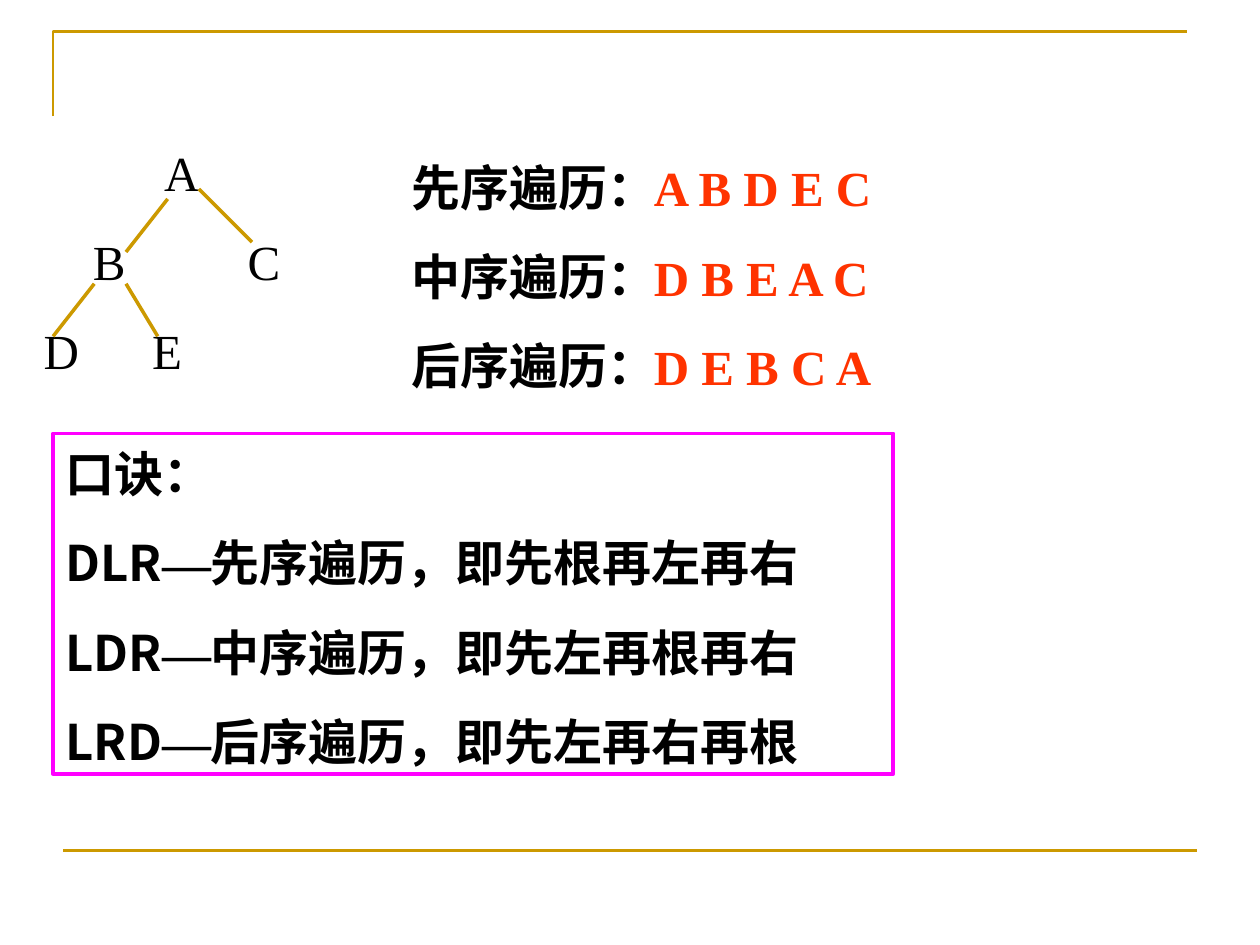
from dataclasses import dataclass

from lxml.etree import SubElement
from pptx import Presentation
from pptx.dml.color import RGBColor as RGB
from pptx.enum.shapes import MSO_CONNECTOR as CONNECTOR, MSO_SHAPE as SHAPE
from pptx.enum.text import MSO_ANCHOR as ANCHOR, PP_ALIGN as ALIGN
from pptx.oxml.ns import qn
from pptx.util import Cm, Pt


@dataclass(frozen=True)
class Theme:
    black: RGB = RGB(0x00, 0x00, 0x00)
    gold: RGB = RGB(0xCC, 0x99, 0x00)
    orange: RGB = RGB(0xFF, 0x33, 0x00)
    magenta: RGB = RGB(0xFF, 0x00, 0xFF)
    serif: str = "Times New Roman"
    sans: str = "Noto Sans CJK SC"
    size: Pt = Pt(28)
    leading: Pt = Pt(33.6)
    gap: Pt = Pt(17.5)
    frame_line: Pt = Pt(1.5)
    edge_line: Pt = Pt(2)
    border_line: Pt = Pt(2.25)


THEME = Theme()
ROW = 1.8
LATIN_INSET = 0.13
CJK_INSET = 0.2


def add_line(slide, start, end, width):
    line = slide.shapes.add_connector(CONNECTOR.STRAIGHT, *map(Cm, start + end))
    line.line.color.rgb = THEME.gold
    line.line.width = width
    SubElement(line._element.spPr, qn("a:effectLst"))


def style_run(run, font, color, bold):
    run.font.name = font
    run.font.size = THEME.size
    run.font.bold = bold
    run.font.color.rgb = color
    east_asian = SubElement(run._r.get_or_add_rPr(), qn("a:ea"))
    east_asian.set("typeface", THEME.sans)


def write_rows(shape, rows, color, bold=True, align=ALIGN.LEFT, inset=LATIN_INSET):
    frame = shape.text_frame
    frame.word_wrap = True
    frame.vertical_anchor = ANCHOR.TOP
    frame.margin_left = frame.margin_right = Cm(0.25)
    frame.margin_top, frame.margin_bottom = Cm(inset), Cm(0)
    for index, row in enumerate(rows):
        paragraph = frame.paragraphs[0] if index == 0 else frame.add_paragraph()
        paragraph.alignment = align
        paragraph.line_spacing = THEME.leading
        if index:
            paragraph.space_before = THEME.gap
        for text, font in row:
            run = paragraph.add_run()
            run.text = text
            style_run(run, font, color, bold)


def add_frame(slide, left, top, width, height):
    corner = slide.shapes.build_freeform(Cm(left), Cm(top + 1.7))
    corner.add_line_segments(
        [(Cm(left), Cm(top)), (Cm(left + width), Cm(top))], close=False
    )
    outline = corner.convert_to_shape()
    outline.shadow.inherit = False
    outline.fill.background()
    outline.line.color.rgb = THEME.gold
    outline.line.width = THEME.frame_line
    bottom = top + height
    add_line(slide, (left + 0.2, bottom), (left + 0.2 + width, bottom), THEME.frame_line)


def add_tree(slide, left, top):
    node_width = 1.2
    nodes = {"A": (3.02, 0), "B": (1.56, 1), "C": (4.68, 1), "D": (0.59, 2), "E": (2.73, 2)}
    for letter, (center, level) in nodes.items():
        node = slide.shapes.add_textbox(
            Cm(left + center - node_width / 2), Cm(top + level * ROW),
            Cm(node_width), Cm(1.4),
        )
        write_rows(node, [[(letter, THEME.serif)]], THEME.black, False, ALIGN.CENTER)
    edges = [
        ((2.74, 1.27), (1.9, 2.34)),
        ((3.37, 1.07), (4.44, 2.14)),
        ((1.9, 2.98), (2.54, 4.04)),
        ((1.26, 2.98), (0.43, 4.04)),
    ]
    for (x1, y1), (x2, y2) in edges:
        add_line(slide, (left + x1, top + y1), (left + x2, top + y2), THEME.edge_line)


def add_traversals(slide, left, top, height):
    labels = slide.shapes.add_textbox(Cm(left), Cm(top), Cm(5.66), Cm(height))
    names = ["先序遍历：", "中序遍历：", "后序遍历："]
    write_rows(labels, [[(name, THEME.serif)] for name in names],
               THEME.black, align=ALIGN.JUSTIFY, inset=CJK_INSET)
    orders = slide.shapes.add_textbox(Cm(left + 4.88), Cm(top + 0.08), Cm(5.08), Cm(height))
    sequences = ["A B D E C", "D B E A C", "D E B C A"]
    write_rows(orders, [[(sequence, THEME.serif)] for sequence in sequences], THEME.orange)


def add_mnemonic(slide, left, top, width, height):
    panel = slide.shapes.add_shape(SHAPE.RECTANGLE, *map(Cm, (left, top, width, height)))
    panel.shadow.inherit = False
    panel.fill.background()
    panel.line.color.rgb = THEME.magenta
    panel.line.width = THEME.border_line
    rules = [
        ("DLR", "先序遍历，即先根再左再右"),
        ("LDR", "中序遍历，即先左再根再右"),
        ("LRD", "后序遍历，即先左再右再根"),
    ]
    rows = [[("口诀：", THEME.sans)]]
    rows += [
        [(code, THEME.sans), ("—", THEME.serif), (meaning, THEME.sans)]
        for code, meaning in rules
    ]
    write_rows(panel, rows, THEME.black, inset=CJK_INSET)


def main():
    deck = Presentation()
    deck.slide_width, deck.slide_height = Cm(25.4), Cm(19.05)
    slide = deck.slides.add_slide(deck.slide_layouts[6])
    add_frame(slide, 1.07, 0.64, 22.86, 16.51)
    add_traversals(slide, 8.05, 2.97, 5.05)
    add_tree(slide, 0.64, 2.74)
    add_mnemonic(slide, 1.07, 8.74, 16.94, 6.86)
    deck.save("out.pptx")


if __name__ == "__main__":
    main()
